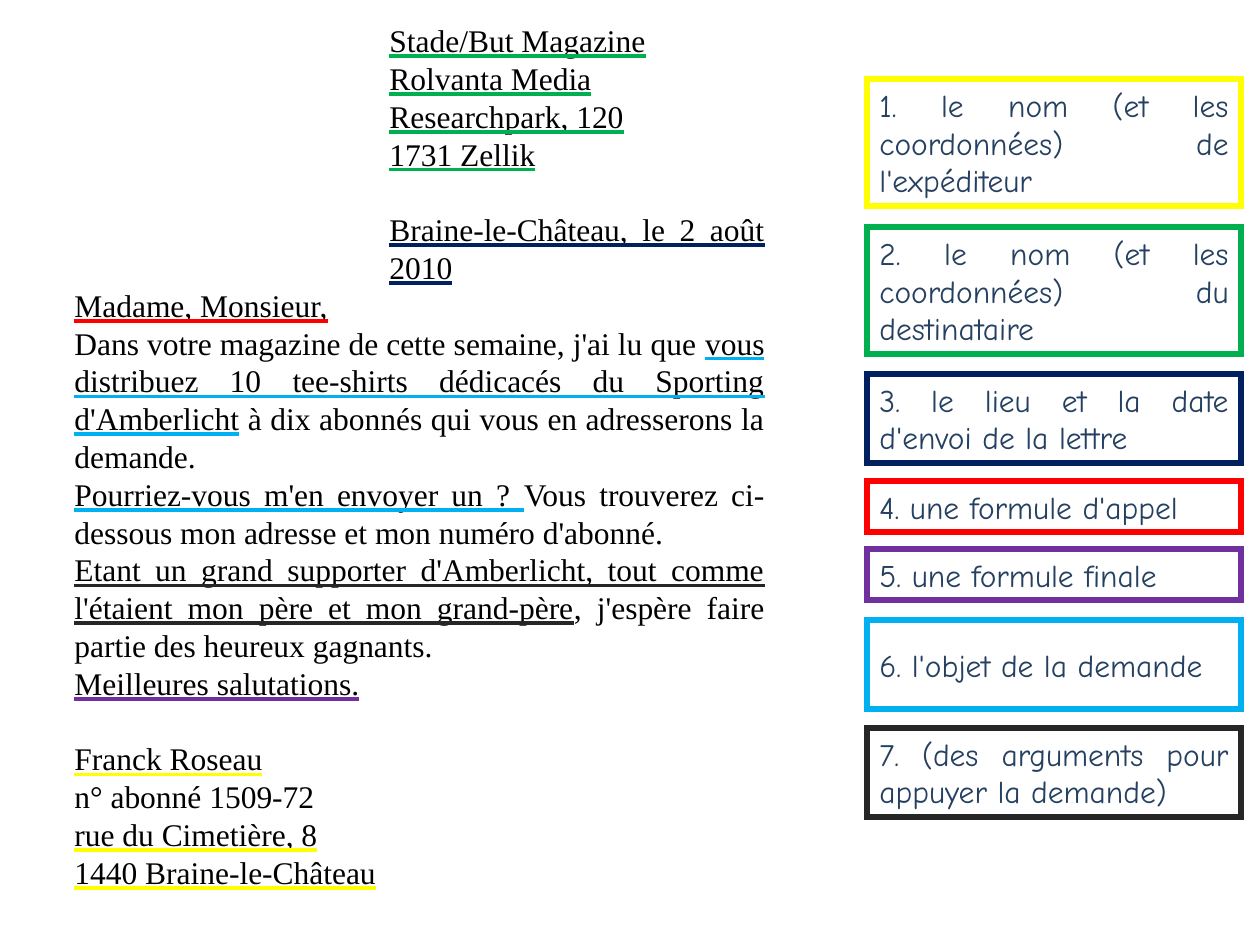
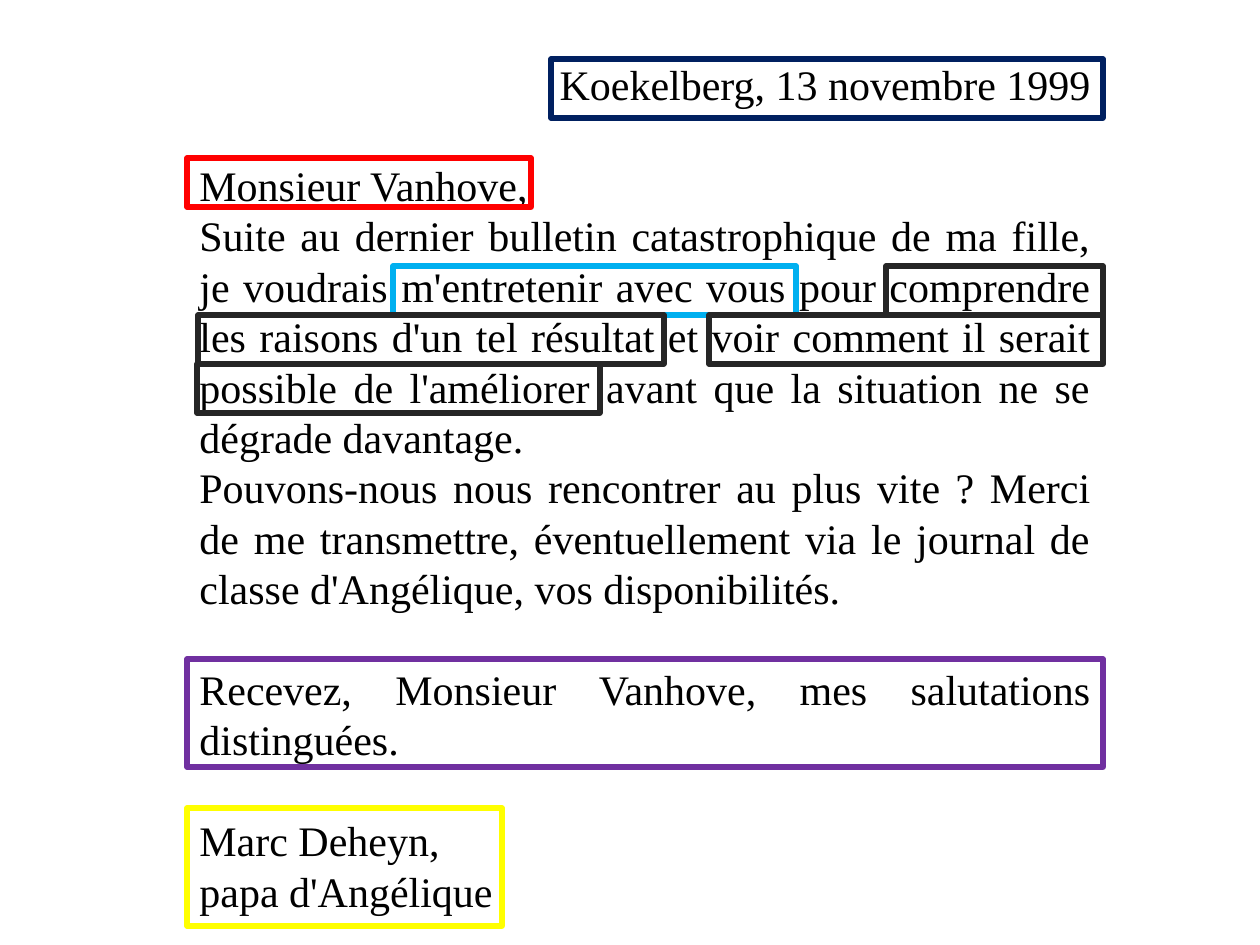
from dataclasses import dataclass

from lxml import etree
from pptx import Presentation
from pptx.dml.color import RGBColor
from pptx.enum.shapes import MSO_SHAPE
from pptx.enum.text import MSO_ANCHOR, MSO_UNDERLINE, PP_ALIGN
from pptx.oxml.ns import qn
from pptx.util import Pt

RECTANGLE = MSO_SHAPE.RECTANGLE
TOP, MIDDLE = MSO_ANCHOR.TOP, MSO_ANCHOR.MIDDLE
JUSTIFY, RIGHT = PP_ALIGN.JUSTIFY, PP_ALIGN.RIGHT
HEAVY_LINE = MSO_UNDERLINE.HEAVY_LINE
EMU_PER_PX = 914400 / 126
BLANK_LAYOUT = 6


@dataclass(frozen=True)
class Theme:
    letter_font: str = "Times New Roman"
    legend_font: str = "Comic Neue"
    letter_colour: str = "000000"
    legend_colour: str = "254061"
    small: int = 18
    large: int = 24
    leading: float = 1.2
    frame_width: int = 3


THEME = Theme()

# Each part of a letter keeps its colour on both slides.
PART_COLOURS = {
    "sender": "FFFF00",
    "recipient": "00B050",
    "date": "002060",
    "greeting": "FF0000",
    "closing": "7030A0",
    "request": "00B0F0",
    "arguments": "262626",
}

# Legend: part, label, top, height in text lines
LEGEND = [
    ("sender", "1. le nom (et les coordonnées) de l'expéditeur", 79, 3),
    ("recipient", "2. le nom (et les coordonnées) du destinataire", 227, 3),
    ("date", "3. le lieu et la date d'envoi de la lettre", 374, 2),
    ("greeting", "4. une formule d'appel", 481, 1),
    ("closing", "5. une formule finale", 549, 1),
    ("request", "6. l'objet de la demande", 620, 2),
    ("arguments", "7. (des arguments pour appuyer la demande)", 728, 2),
]
LEGEND_LEFT, LEGEND_WIDTH = 867, 374
LEGEND_LINE, LEGEND_PADDING = 38, 13

# Letters: blocks of paragraphs, each paragraph a list of (text, part)
MAGAZINE_HEAD = [
    [
        [("Stade/But Magazine", "recipient")],
        [("Rolvanta Media", "recipient")],
        [("Researchpark, 120", "recipient")],
        [("1731 Zellik", "recipient")],
    ],
    [[("Braine-le-Château, le 2 août 2010", "date")]],
]
MAGAZINE_BODY = [
    [
        [("Madame, Monsieur,", "greeting")],
        [
            ("Dans votre magazine de cette semaine, j'ai lu que ", None),
            ("vous distribuez 10 tee-shirts dédicacés du Sporting d'Amberlicht", "request"),
            (" à dix abonnés qui vous en adresserons la demande.", None),
        ],
        [
            ("Pourriez-vous m'en envoyer un ? ", "request"),
            ("Vous trouverez ci-dessous mon adresse et mon numéro d'abonné.", None),
        ],
        [
            ("Etant un grand supporter d'Amberlicht, tout comme "
             "l'étaient mon père et mon grand-père", "arguments"),
            (", j'espère faire partie des heureux gagnants.", None),
        ],
        [("Meilleures salutations.", "closing")],
    ],
    [
        [("Franck Roseau", "sender")],
        [("n° abonné 1509-72", None)],
        [("rue du Cimetière, 8", "sender")],
        [("1440 Braine-le-Château", "sender")],
    ],
]
MAGAZINE_BOX = (0, 15, 777, 891)
HEAD_INDENT, BODY_INDENT = 377, 62

SCHOOL_DATE = [[[("Koekelberg, 13 novembre 1999", None)]]]
SCHOOL_BODY = [
    [
        [("Monsieur Vanhove,", None)],
        [("Suite au dernier bulletin catastrophique de ma fille, je voudrais "
          "m'entretenir avec vous pour comprendre les raisons d'un tel résultat "
          "et voir comment il serait possible de l'améliorer avant que la "
          "situation ne se dégrade davantage.", None)],
        [("Pouvons-nous nous rencontrer au plus vite ? Merci de me transmettre, "
          "éventuellement via le journal de classe d'Angélique, "
          "vos disponibilités.", None)],
    ],
    [[("Recevez, Monsieur Vanhove, mes salutations distinguées.", None)]],
    [[("Marc Deheyn,", None)], [("papa d'Angélique", None)]],
]
SCHOOL_BOX = (187, 48, 916, 878)
SCHOOL_FRAMES = [
    ("sender", (187, 808, 315, 118)),
    ("greeting", (187, 158, 344, 49)),
    ("date", (551, 59, 552, 59)),
    ("closing", (187, 659, 916, 108)),
    ("request", (393, 266, 403, 49)),
    ("arguments", (886, 266, 217, 49)),
    ("arguments", (709, 315, 394, 49)),
    ("arguments", (198, 315, 466, 49)),
    ("arguments", (197, 364, 403, 49)),
]


def px(length):
    return round(length * EMU_PER_PX)


def format_paragraph(paragraph, font_name, size, colour, alignment=JUSTIFY):
    paragraph.alignment = alignment
    paragraph.line_spacing = Pt(size * THEME.leading)
    font = paragraph.font
    font.name, font.size = font_name, Pt(size)
    font.color.rgb = RGBColor.from_string(colour)


def underline(run, colour):
    run.font.underline = HEAVY_LINE
    underline_fill = etree.SubElement(run.font._element, qn("a:uFill"))
    solid = etree.SubElement(underline_fill, qn("a:solidFill"))
    etree.SubElement(solid, qn("a:srgbClr"), val=colour)


def add_letter(slide, box, size, sections, anchor):
    """Write sections of (blocks, indent, alignment), a line apart between blocks."""
    frame = slide.shapes.add_textbox(*map(px, box)).text_frame
    frame.word_wrap = True
    frame.vertical_anchor = anchor
    paragraph = None
    for blocks, indent, alignment in sections:
        for block_index, block in enumerate(blocks):
            for line_index, pieces in enumerate(block):
                paragraph = frame.add_paragraph() if paragraph else frame.paragraphs[0]
                if indent:
                    paragraph._p.get_or_add_pPr().set("marL", str(px(indent)))
                format_paragraph(paragraph, THEME.letter_font, size,
                                 THEME.letter_colour, alignment)
                if block_index and not line_index:
                    paragraph.space_before = Pt(size * THEME.leading)
                for text, part in pieces:
                    run = paragraph.add_run()
                    run.text = text
                    if part:
                        underline(run, PART_COLOURS[part])
    return frame


def add_frame(slide, part, box):
    shape = slide.shapes.add_shape(RECTANGLE, *map(px, box))
    shape.shadow.inherit = False
    shape.fill.background()
    shape.line.color.rgb = RGBColor.from_string(PART_COLOURS[part])
    shape.line.width = Pt(THEME.frame_width)
    return shape


def add_legend(slide):
    for part, label, top, lines in LEGEND:
        height = lines * LEGEND_LINE + LEGEND_PADDING
        shape = add_frame(slide, part, (LEGEND_LEFT, top, LEGEND_WIDTH, height))
        outline = shape._element.spPr.find(qn("a:ln"))
        etree.SubElement(outline, qn("a:miter"), lim="800000")
        frame = shape.text_frame
        frame.word_wrap = True
        frame.vertical_anchor = MIDDLE
        frame.text = label
        format_paragraph(frame.paragraphs[0], THEME.legend_font,
                         THEME.small, THEME.legend_colour)


def build_magazine_slide(slide):
    add_letter(slide, MAGAZINE_BOX, THEME.small,
               [(MAGAZINE_HEAD, HEAD_INDENT, JUSTIFY),
                (MAGAZINE_BODY, BODY_INDENT, JUSTIFY)], TOP)
    add_legend(slide)


def build_school_slide(slide):
    frame = add_letter(slide, SCHOOL_BOX, THEME.large,
                       [(SCHOOL_DATE, 0, RIGHT), (SCHOOL_BODY, 0, JUSTIFY)], MIDDLE)
    frame.paragraphs[1].space_before = Pt(THEME.large * THEME.leading)
    for part, box in SCHOOL_FRAMES:
        add_frame(slide, part, box)


def main():
    presentation = Presentation()
    presentation.slide_width, presentation.slide_height = px(1260), px(945)
    layout = presentation.slide_layouts[BLANK_LAYOUT]
    for build in (build_magazine_slide, build_school_slide):
        build(presentation.slides.add_slide(layout))
    presentation.save("out.pptx")


if __name__ == "__main__":
    main()
